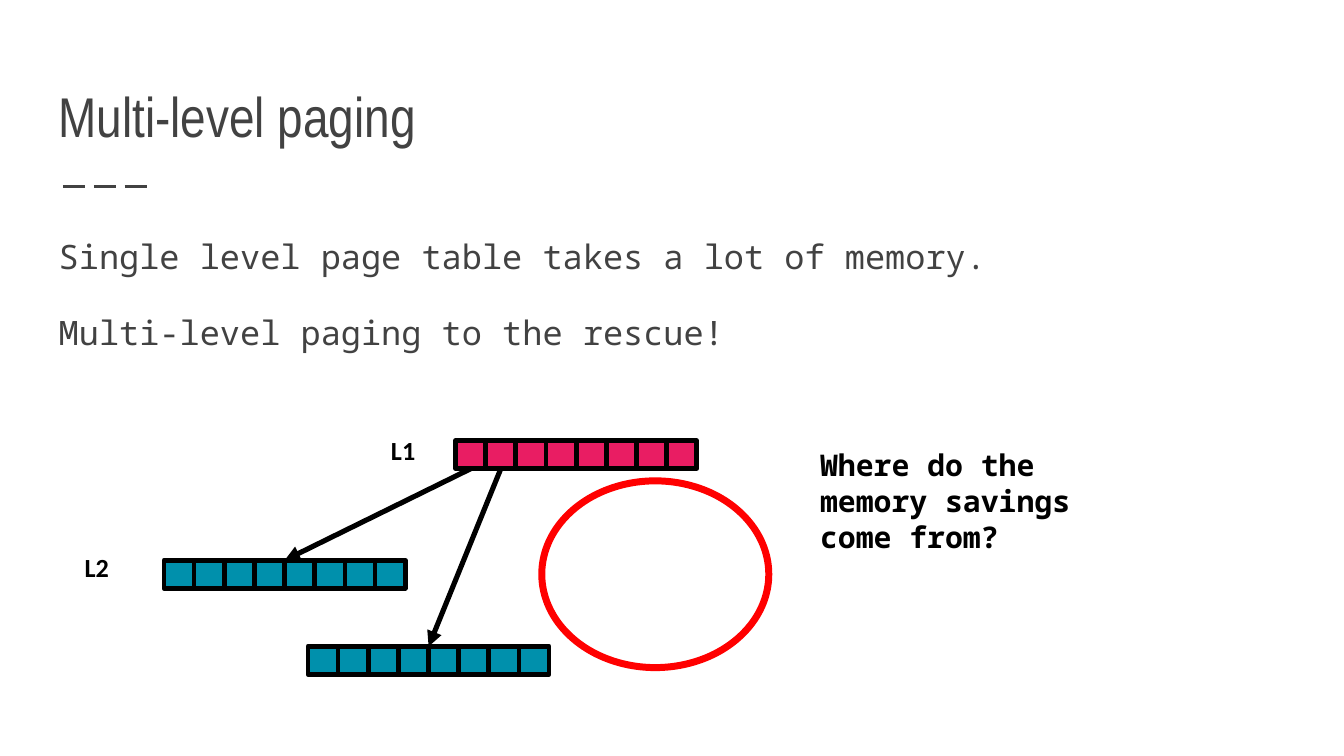
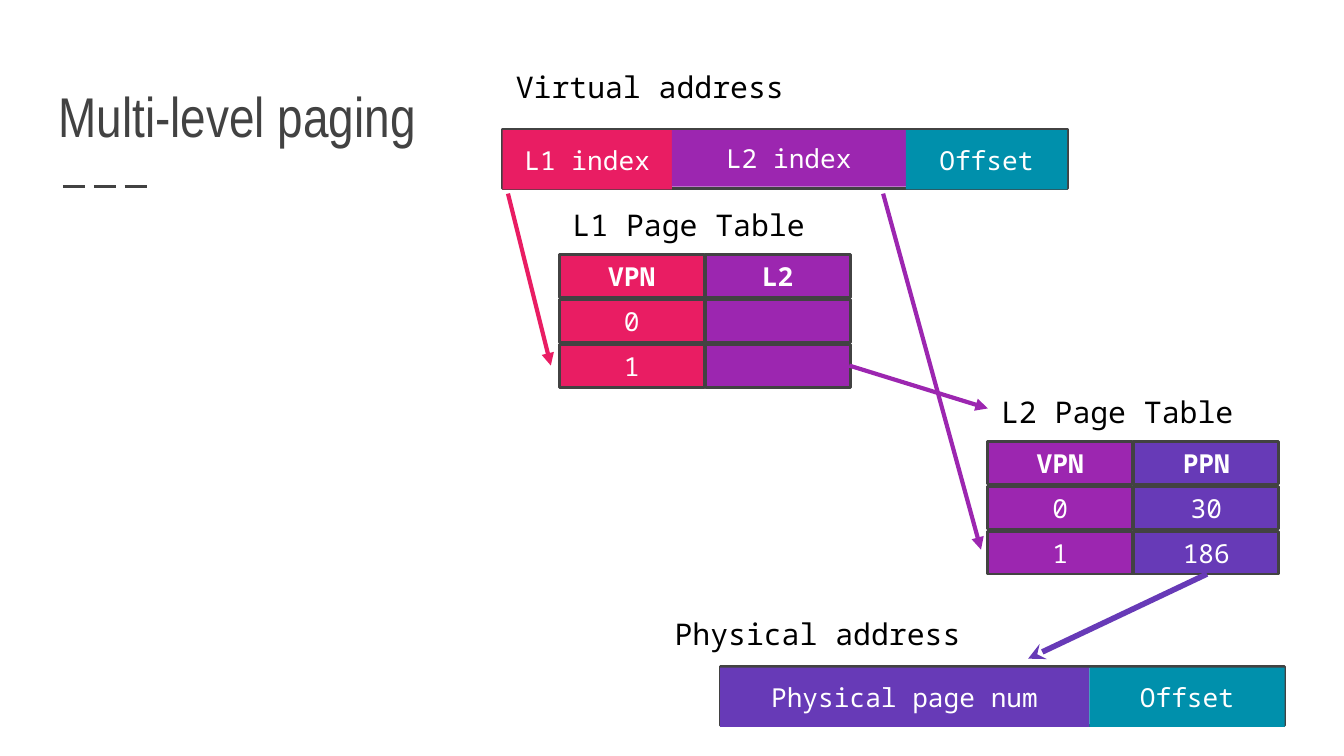
from dataclasses import dataclass

from lxml import etree
from pptx import Presentation
from pptx.dml.color import RGBColor
from pptx.enum import dml, shapes, text
from pptx.oxml import ns
from pptx.util import Cm, Pt

COLORS = {
    "ink": "424242",
    "black": "000000",
    "white": "FFFFFF",
    "red": "FF0000",
    "pink": "E91D63",
    "teal": "0090AC",
    "purple": "9C26B0",
    "violet": "673AB7",
}
MONO, TITLE_FONT, LABEL_FONT = "Noto Sans Mono", "Arial Narrow", "Calibri"
WIDE_INSETS, TIGHT_INSETS = (0.25, 0.25), (0.18, 0.09)

ENTRIES, ENTRY_W, ENTRY_H = 8, 0.57, 0.53
FIELD_H, FRAME_W = 1.12, 10.67
CELL_W, CELL_H, COL_STEP, ROW_STEP = 2.74, 0.81, 2.76, 0.85


@dataclass(frozen=True)
class Box:
    left: float
    top: float
    width: float
    height: float

    def lengths(self):
        return Cm(self.left), Cm(self.top), Cm(self.width), Cm(self.height)


@dataclass(frozen=True)
class Font:
    size: float
    color: str = "black"
    name: str = MONO
    bold: bool = False


@dataclass(frozen=True)
class Field:
    label: str
    width: float
    color: str
    height: float = FIELD_H


@dataclass(frozen=True)
class Arrow:
    start: tuple[float, float]
    end: tuple[float, float]
    color: str
    width: float = 2.25
    head: str = "triangle"


@dataclass(frozen=True)
class PageTable:
    label: str
    left: float
    top: float
    colors: tuple[str, str]
    rows: tuple[tuple[str, str], ...]


CAPTION = Font(16)
CELL_FONT = Font(14, "white")
HEADER_FONT = Font(14, "white", bold=True)


def rgb(color: str) -> RGBColor:
    return RGBColor.from_string(COLORS[color])


def write(sp, lines: list[str], font: Font, insets=WIDE_INSETS,
          anchor=text.MSO_ANCHOR.TOP, align=text.PP_ALIGN.LEFT):
    tf = sp.text_frame
    tf.text = "\n".join(lines)
    tf.word_wrap = True
    tf.vertical_anchor = anchor
    tf.margin_left = tf.margin_right = Cm(insets[0])
    tf.margin_top = tf.margin_bottom = Cm(insets[1])
    for p in tf.paragraphs:
        p.alignment = align
        for r in p.runs:
            r.font.name, r.font.size, r.font.bold = font.name, Pt(font.size), font.bold
            r.font.color.rgb = rgb(font.color)
    return tf


def add_text(s, box: Box, lines: list[str], font: Font, insets=WIDE_INSETS,
             anchor=text.MSO_ANCHOR.TOP):
    return write(s.shapes.add_textbox(*box.lengths()), lines, font, insets, anchor)


def add_block(s, box: Box, fill: str | None = None, line: str | None = None,
              line_width: float = 1.5, label: str = "", font: Font = CELL_FONT,
              kind=shapes.MSO_SHAPE.RECTANGLE) -> None:
    sp = s.shapes.add_shape(kind, *box.lengths())
    sp.shadow.inherit = False
    if fill:
        sp.fill.solid()
        sp.fill.fore_color.rgb = rgb(fill)
    else:
        sp.fill.background()
    if line:
        sp.line.color.rgb = rgb(line)
        sp.line.width = Pt(line_width)
    else:
        sp.line.fill.background()
    if label:
        write(sp, [label], font, anchor=text.MSO_ANCHOR.MIDDLE,
              align=text.PP_ALIGN.CENTER)


def add_line(s, start: tuple[float, float], end: tuple[float, float],
             color: str, width: float):
    cx = s.shapes.add_connector(shapes.MSO_CONNECTOR.STRAIGHT,
                                *(Cm(v) for v in (*start, *end)))
    cx.line.color.rgb = rgb(color)
    cx.line.width = Pt(width)
    etree.SubElement(cx._element.spPr, ns.qn("a:effectLst"))
    return cx


def add_arrow(s, arrow: Arrow) -> None:
    cx = add_line(s, arrow.start, arrow.end, arrow.color, arrow.width)
    ln = cx._element.spPr.find(ns.qn("a:ln"))
    etree.SubElement(ln, ns.qn("a:tailEnd"), type=arrow.head)


def add_titled_slide(prs, title: str, width: float):
    s = prs.slides.add_slide(prs.slide_layouts[6])
    rule = add_line(s, (1.19, 3.53), (2.9, 3.53), "ink", 1.5)
    rule.line.dash_style = dml.MSO_LINE.LONG_DASH
    add_text(s, Box(0.86, 1.04, width, 2.03), [title], Font(30, "ink", TITLE_FONT),
             anchor=text.MSO_ANCHOR.BOTTOM)
    return s


def add_entries(s, left: float, top: float, color: str) -> None:
    """Draw one page table as a strip of entries."""
    for i in range(ENTRIES):
        add_block(s, Box(left + i * ENTRY_W, top, ENTRY_W, ENTRY_H),
                  color, "black", 2.5)


def add_address(s, left: float, top: float, fields: list[Field]) -> None:
    """Draw a framed address split into coloured fields."""
    add_block(s, Box(left, top, FRAME_W, FIELD_H), line="ink")
    for field in fields:
        add_block(s, Box(left, top + 0.02, field.width, field.height),
                  field.color, label=field.label)
        left += field.width


def add_page_table(s, table: PageTable) -> None:
    add_text(s, Box(table.left, table.top, 5.05, 1.07), [table.label], CAPTION)
    for i, row in enumerate(table.rows):
        for j, (value, color) in enumerate(zip(row, table.colors)):
            box = Box(table.left + j * COL_STEP, table.top + 1.15 + i * ROW_STEP,
                      CELL_W, CELL_H)
            add_block(s, box, color, "ink", label=value,
                      font=CELL_FONT if i else HEADER_FONT)


def build_savings_slide(prs) -> None:
    s = add_titled_slide(prs, "Multi-level paging", 23.67)
    tf = add_text(s, Box(0.86, 4.09, 23.67, 2.72),
                  ["Single level page table takes a lot of memory.",
                   "Multi-level paging to the rescue!"], Font(18, "ink"))
    for p in tf.paragraphs:
        p.line_spacing = 1.15
    p.space_before = p.space_after = Pt(16)
    add_text(s, Box(15.32, 8.36, 6.43, 2.72),
             ["Where do the memory savings come from?"],
             Font(16, bold=True), TIGHT_INSETS)

    l1_left, l1_top = 8.61, 8.33
    add_entries(s, l1_left, l1_top, "pink")
    for i, (left, top) in enumerate([(3.1, 10.59), (5.82, 12.22)]):
        add_entries(s, left, top, "teal")
        start = (l1_left + (i + 0.5) * ENTRY_W, l1_top + ENTRY_H)
        end = (left + ENTRIES * ENTRY_W / 2, top)
        add_arrow(s, Arrow(start, end, "black", 2.75))

    for label, left, top in [("L1", 7.21, 8.13), ("L2", 1.42, 10.34)]:
        add_text(s, Box(left, top, 1.37, 0.76), [label],
                 Font(14, name=LABEL_FONT, bold=True), TIGHT_INSETS)
    add_block(s, Box(10.24, 9.09, 4.29, 3.53), line="red", line_width=3.75,
              kind=shapes.MSO_SHAPE.OVAL)


def build_translation_slide(prs) -> None:
    s = add_titled_slide(prs, "Multi-level paging", 7.62)
    add_text(s, Box(9.5, 1.04, 7.62, 1.07), ["Virtual address"], CAPTION)
    add_address(s, 9.5, 2.44, [Field("L1 index", 3.2, "pink"),
                               Field("L2 index", 4.42, "purple", 1.07),
                               Field("Offset", 3.05, "teal")])
    add_text(s, Box(12.5, 11.38, 6.05, 1.07), ["Physical address"], CAPTION)
    add_address(s, 13.61, 12.6, [Field("Physical page num", 6.98, "violet"),
                                 Field("Offset", 3.69, "teal")])

    for table in [
        PageTable("L1 Page Table", 10.57, 3.66, ("pink", "purple"),
                  (("VPN", "L2"), ("0", ""), ("1", ""))),
        PageTable("L2 Page Table", 18.67, 7.19, ("purple", "violet"),
                  (("VPN", "PPN"), ("0", "30"), ("1", "186"))),
    ]:
        add_page_table(s, table)

    for arrow in [
        Arrow((9.6, 3.66), (10.41, 6.91), "pink"),
        Arrow((16.05, 6.91), (18.67, 7.72), "purple"),
        Arrow((16.69, 3.66), (18.54, 10.39), "purple"),
        Arrow((22.81, 10.85), (19.43, 12.45), "violet", 3, "stealth"),
    ]:
        add_arrow(s, arrow)


def main() -> None:
    prs = Presentation()
    prs.slide_width, prs.slide_height = Cm(25.4), Cm(14.29)
    build_savings_slide(prs)
    build_translation_slide(prs)
    prs.save("out.pptx")


if __name__ == "__main__":
    main()
